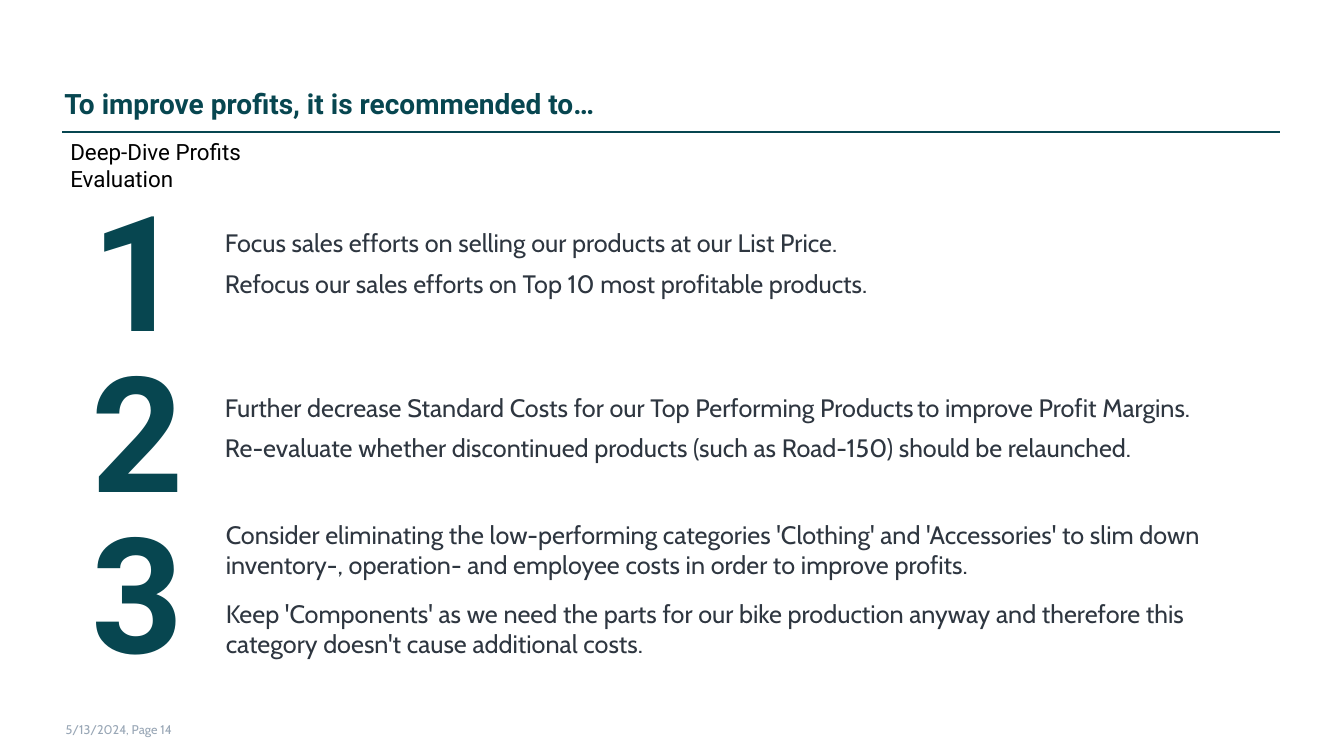
from dataclasses import dataclass

import pptx
import pptx.dml.color
import pptx.enum.shapes
import pptx.enum.text
import pptx.oxml.ns
import pptx.slide
import pptx.text.text
import pptx.util
from lxml import etree

Pt = pptx.util.Pt
RGBColor = pptx.dml.color.RGBColor
Anchor = pptx.enum.text.MSO_ANCHOR
Align = pptx.enum.text.PP_ALIGN

TEAL = RGBColor(0x07, 0x46, 0x50)
BLACK = RGBColor(0x00, 0x00, 0x00)
SLATE = RGBColor(0x2E, 0x36, 0x40)
GREY = RGBColor(0x99, 0xA7, 0xB6)

HEADING_FONT = "Roboto"
BODY_FONT = "Cabin"

NUMBER_LEFT, NUMBER_TOP, NUMBER_PITCH = 54, 139, 115.2
NUMBER_WIDTH, NUMBER_HEIGHT = 87, 103
ADVICE_LEFT, ADVICE_WIDTH = 149.8, 765.4


@dataclass(frozen=True)
class Area:
    left: float
    top: float
    width: float
    height: float


@dataclass(frozen=True)
class Style:
    font: str
    size: float
    color: RGBColor
    bold: bool = False


@dataclass(frozen=True)
class Piece:
    text: str
    size: float = 18


@dataclass(frozen=True)
class Recommendation:
    top: float
    height: float
    gap: float
    paragraphs: tuple[tuple[Piece, ...], ...]


TITLE = Style(HEADING_FONT, 20, TEAL, bold=True)
SUBTITLE = Style(HEADING_FONT, 16, BLACK)
NUMBER = Style(HEADING_FONT, 115, TEAL, bold=True)
FOOTER = Style(BODY_FONT, 9, GREY)

RECOMMENDATIONS = (
    Recommendation(149, 78, 7.4, (
        (Piece("Focus sales efforts on selling our products at our List Price."),),
        (Piece("Refocus our sales efforts on Top 10 most profitable products."),),
    )),
    Recommendation(266.4, 78, 7.4, (
        (Piece("Further decrease Standard Costs for our Top Performing Products"),
         Piece(" ", 11),
         Piece("to improve Profit Margins.")),
        (Piece("Re-evaluate whether discontinued products (such as Road-150) "
               "should be relaunched."),),
    )),
    Recommendation(375.1, 91, 13.6, (
        (Piece("Consider eliminating the low-performing categories 'Clothing' and "
               "'Accessories' to slim down inventory-, operation- and employee "
               "costs in order to improve profits."),),
        (Piece("Keep 'Components' as we need the parts for our bike production "
               "anyway and therefore this category doesn't cause additional costs."),),
    )),
)


def add_run(paragraph: pptx.text.text._Paragraph, text: str, style: Style) -> None:
    run = paragraph.add_run()
    run.text = text
    run.font.name = style.font
    run.font.size = Pt(style.size)
    run.font.bold = style.bold
    run.font.color.rgb = style.color


def add_label(slide: pptx.slide.Slide, area: Area, text: str, style: Style,
              anchor: Anchor, inset: float) -> pptx.text.text._Paragraph:
    label = slide.shapes.add_textbox(
        Pt(area.left), Pt(area.top), Pt(area.width), Pt(area.height))
    frame = label.text_frame
    frame.word_wrap = True
    frame.vertical_anchor = anchor
    frame.margin_left = frame.margin_right = Pt(inset)
    add_run(frame.paragraphs[0], text, style)
    return frame.paragraphs[0]


def add_panel(slide: pptx.slide.Slide, area: Area) -> pptx.text.text.TextFrame:
    panel = slide.shapes.add_shape(
        pptx.enum.shapes.MSO_SHAPE.ROUNDED_RECTANGLE,
        Pt(area.left), Pt(area.top), Pt(area.width), Pt(area.height))
    panel.shadow.inherit = False
    panel.fill.background()
    panel.line.fill.background()
    panel.text_frame.word_wrap = True
    panel.text_frame.vertical_anchor = Anchor.MIDDLE
    return panel.text_frame


def add_recommendation(slide: pptx.slide.Slide, index: int, item: Recommendation) -> None:
    number_top = NUMBER_TOP + index * NUMBER_PITCH
    number = add_panel(slide, Area(NUMBER_LEFT, number_top, NUMBER_WIDTH, NUMBER_HEIGHT))
    number.paragraphs[0].alignment = Align.CENTER
    add_run(number.paragraphs[0], str(index + 1), NUMBER)

    advice = add_panel(slide, Area(ADVICE_LEFT, item.top, ADVICE_WIDTH, item.height))
    for position, pieces in enumerate(item.paragraphs):
        paragraph = advice.add_paragraph() if position else advice.paragraphs[0]
        paragraph.alignment = Align.LEFT
        if position:
            paragraph.space_before = Pt(item.gap)
        for piece in pieces:
            add_run(paragraph, piece.text, Style(BODY_FONT, piece.size, SLATE))


def add_title_rule(slide: pptx.slide.Slide) -> None:
    rule = slide.shapes.add_connector(
        pptx.enum.shapes.MSO_CONNECTOR.STRAIGHT, Pt(44.6), Pt(94.3), Pt(914.4), Pt(94.3))
    rule.line.color.rgb = TEAL
    rule.line.width = Pt(1)
    etree.SubElement(rule._element.spPr, pptx.oxml.ns.qn("a:effectLst"))


def main() -> None:
    deck = pptx.Presentation()
    deck.slide_width, deck.slide_height = Pt(960), Pt(540)
    slide = deck.slides.add_slide(deck.slide_layouts[6])

    # Heading
    add_title_rule(slide)
    title = add_label(slide, Area(46.1, 60.5, 869, 29.5),
                      "To improve profits, it is recommended to…", TITLE, Anchor.MIDDLE, 0)
    title.line_spacing = 0.9
    add_label(slide, Area(43.2, 95, 180, 46),
              "Deep-Dive Profits Evaluation", SUBTITLE, Anchor.TOP, 7.2)

    # Numbered recommendations
    for index, item in enumerate(RECOMMENDATIONS):
        add_recommendation(slide, index, item)

    # Footer
    add_label(slide, Area(46.8, 506.9, 87, 28.8),
              "5/13/2024, Page 14", FOOTER, Anchor.MIDDLE, 0)

    deck.save("out.pptx")


if __name__ == "__main__":
    main()
